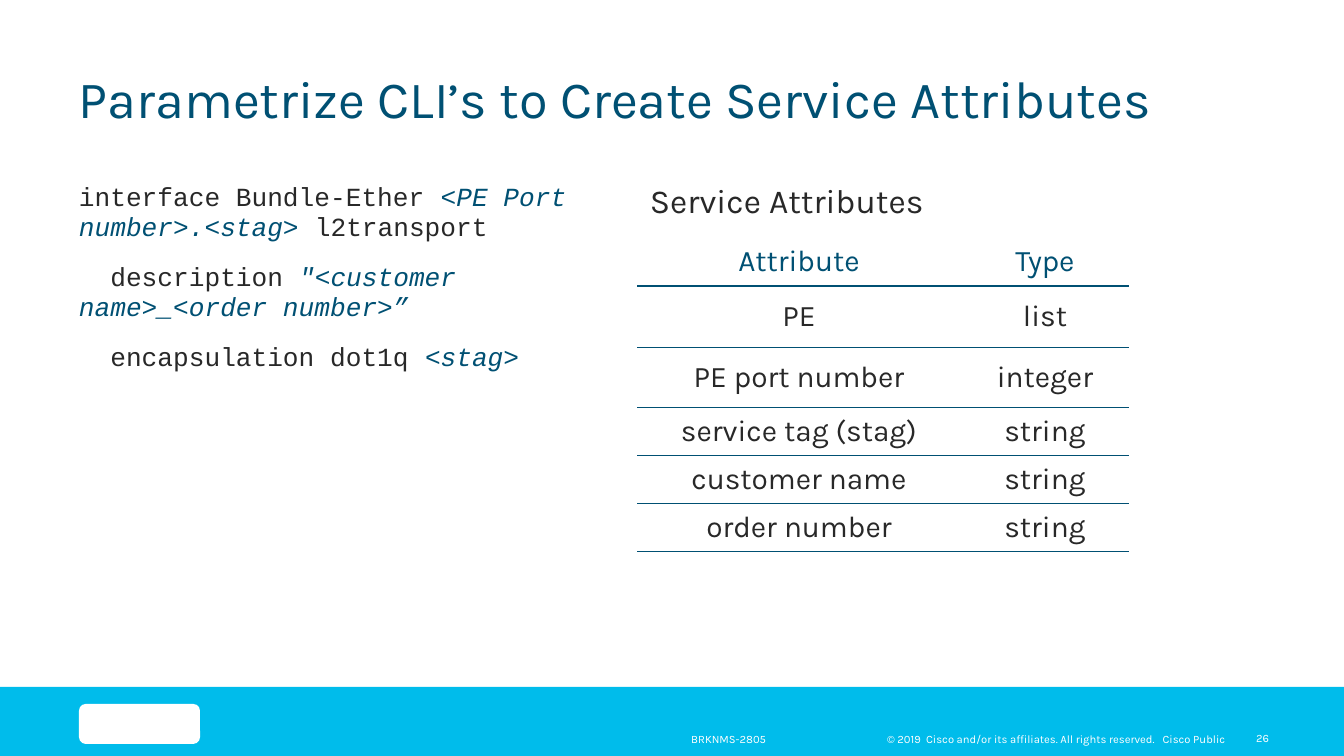
from dataclasses import dataclass

from lxml import etree
from pptx import Presentation
from pptx import util as u
from pptx.dml.color import RGBColor
from pptx.enum import shapes, text
from pptx.oxml.ns import qn

WIDTH, HEIGHT = 1344, 756
EMU_PER_PX = u.Inches(10) / WIDTH


@dataclass(frozen=True)
class Theme:
    navy: str = "005073"
    ink: str = "282828"
    cyan: str = "00BCEB"
    white: str = "FFFFFF"
    sans: str = "Karla"
    mono: str = "Courier New"
    title: int = 28
    heading: int = 18
    cell: int = 16
    code: int = 14
    footer: int = 6
    header_rule: float = 1.5
    row_rule: float = 0.5


T = Theme()
ALIGN, ANCHOR = text.PP_ALIGN, text.MSO_ANCHOR

# Each code line is a list of (words, is parameter)
CODE = [
    [("interface Bundle-Ether ", False), ("<PE Port number>.<stag> ", True),
     ("l2transport", False)],
    [("  description ", False), ("\"<customer name>_<order number>”", True)],
    [("  encapsulation dot1q ", False), ("<stag>", True)],
]
ATTRIBUTES = [
    ("Attribute", "Type"),
    ("PE", "list"),
    ("PE port number", "integer"),
    ("service tag (stag)", "string"),
    ("customer name", "string"),
    ("order number", "string"),
]
COLUMNS = (324, 168)
ROWS = (48, 61, 61, 48, 48, 48)


def px(n):
    return u.Emu(round(n * EMU_PER_PX))


def add_run(p, words, size, color, font=T.sans, italic=False):
    r = p.add_run()
    r.text = words
    r.font.size = u.Pt(size)
    r.font.name = font
    r.font.italic = italic
    r.font.color.rgb = RGBColor.from_string(color)


def add_box(s, box, anchor=ANCHOR.TOP, inset=(13, 7)):
    tf = s.shapes.add_textbox(*map(px, box)).text_frame
    tf.word_wrap = True
    tf.vertical_anchor = anchor
    tf.margin_left = tf.margin_right = px(inset[0])
    tf.margin_top = tf.margin_bottom = px(inset[1])
    return tf


def add_line(s, box, words, size, color, align=ALIGN.LEFT, spacing=1.0, **frame):
    p = add_box(s, box, **frame).paragraphs[0]
    p.alignment = align
    p.line_spacing = spacing
    add_run(p, words, size, color)


def add_block(s, kind, box, color):
    sp = s.shapes.add_shape(kind, *map(px, box))
    sp.shadow.inherit = False
    sp.fill.solid()
    sp.fill.fore_color.rgb = RGBColor.from_string(color)
    sp.line.fill.background()


def add_code(s, box, lines):
    tf = add_box(s, box)
    for i, line in enumerate(lines):
        p = tf.add_paragraph() if i else tf.paragraphs[0]
        p.line_spacing = 0.95
        p.space_before = u.Pt(10.8 if i else 0)
        for words, is_parameter in line:
            add_run(p, words, T.code, T.navy if is_parameter else T.ink,
                    T.mono, is_parameter)


def set_border(cell, side, width):
    """Rule one side of a cell; a width of 0 leaves it open."""
    tcPr = cell._tc.get_or_add_tcPr()
    ln = etree.SubElement(tcPr, qn(f"a:ln{side}"), w=str(int(u.Pt(width))))
    if width:
        fill = etree.SubElement(ln, qn("a:solidFill"))
        etree.SubElement(fill, qn("a:srgbClr"), val=T.navy)
    else:
        etree.SubElement(ln, qn("a:noFill"))


def add_attribute_table(s, left, top):
    table = s.shapes.add_table(len(ROWS), len(COLUMNS), px(left), px(top),
                               px(sum(COLUMNS)), px(sum(ROWS))).table
    table.first_row = table.horz_banding = False
    for column, width in zip(table.columns, COLUMNS):
        column.width = px(width)
    # Rule above the header, below the header, then below each row
    rules = [0, T.header_rule] + [T.row_rule] * (len(ROWS) - 1)
    for i, (row, height) in enumerate(zip(table.rows, ROWS)):
        row.height = px(height)
        for cell, words in zip(row.cells, ATTRIBUTES[i]):
            cell.vertical_anchor = ANCHOR.MIDDLE
            cell.margin_left = cell.margin_right = px(31)
            cell.margin_top = cell.margin_bottom = px(6)
            for side, width in zip("LRTB", (0, 0, rules[i], rules[i + 1])):
                set_border(cell, side, width)
            cell.fill.background()
            p = cell.text_frame.paragraphs[0]
            p.alignment = ALIGN.CENTER
            add_run(p, words, T.cell, T.ink if i else T.navy)


def add_footer(s):
    add_block(s, shapes.MSO_SHAPE.RECTANGLE, (0, 687, WIDTH, 69), T.cyan)
    # Plain stand-in for the logo
    add_block(s, shapes.MSO_SHAPE.ROUNDED_RECTANGLE, (79, 704, 121, 40), T.white)
    small = dict(size=T.footer, color=T.white, align=ALIGN.RIGHT)
    low = dict(anchor=ANCHOR.BOTTOM, inset=(9, 4))
    add_line(s, (860, 727, 374, 23),
             "© 2019  Cisco and/or its affiliates. All rights reserved.   Cisco Public",
             **small, **low)
    add_line(s, (532, 727, 243, 23), "BRKNMS-2805", **small, **low)
    add_line(s, (1230, 718, 52, 40), "26", anchor=ANCHOR.MIDDLE, **small)


def main():
    prs = Presentation()
    prs.slide_width, prs.slide_height = px(WIDTH), px(HEIGHT)
    s = prs.slides.add_slide(prs.slide_layouts[6])

    add_footer(s)
    add_line(s, (66, 28, 1214, 108),
             "Parametrize CLI’s to Create Service Attributes",
             T.title, T.navy, spacing=0.8, anchor=ANCHOR.BOTTOM)

    # Left: command template; right: its attributes
    add_code(s, (66, 176, 571, 453), CODE)
    add_line(s, (637, 176, 538, 51), "Service Attributes",
             T.heading, T.ink, spacing=0.95)
    add_attribute_table(s, 637, 238)

    prs.save("out.pptx")


if __name__ == "__main__":
    main()
